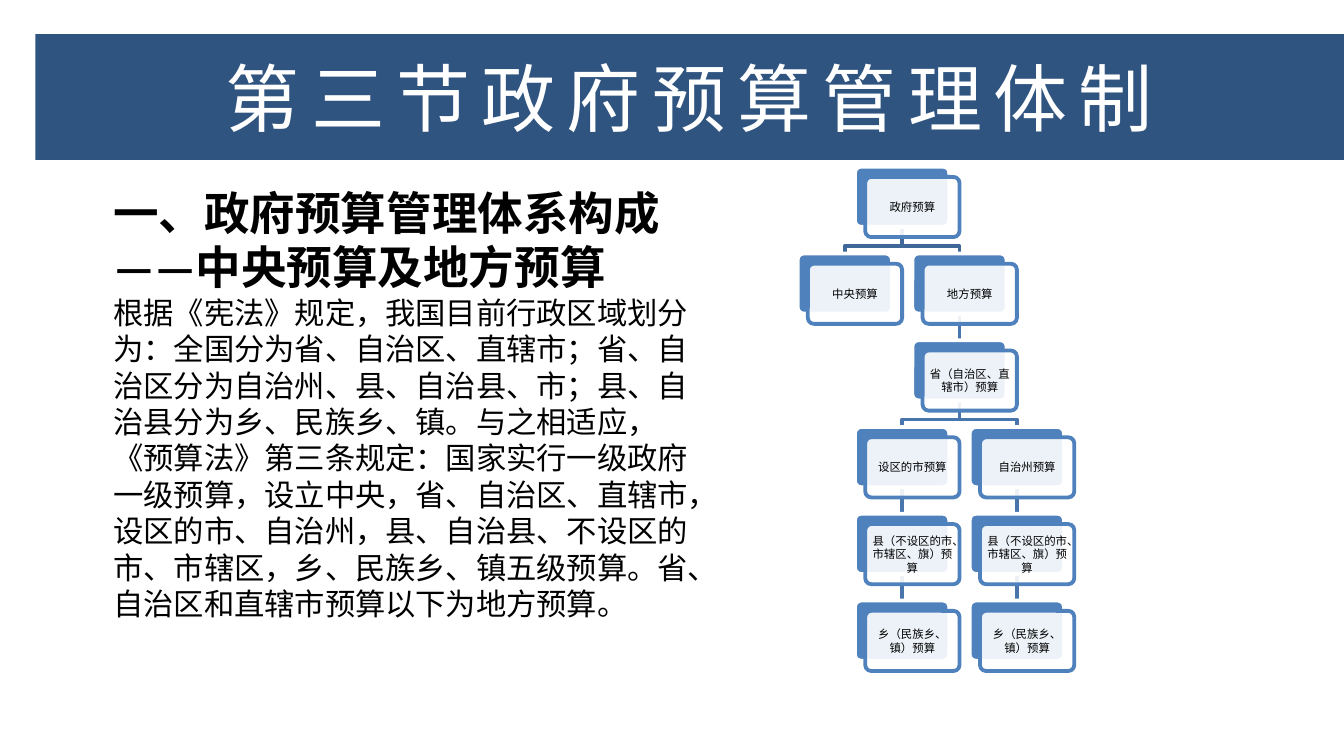
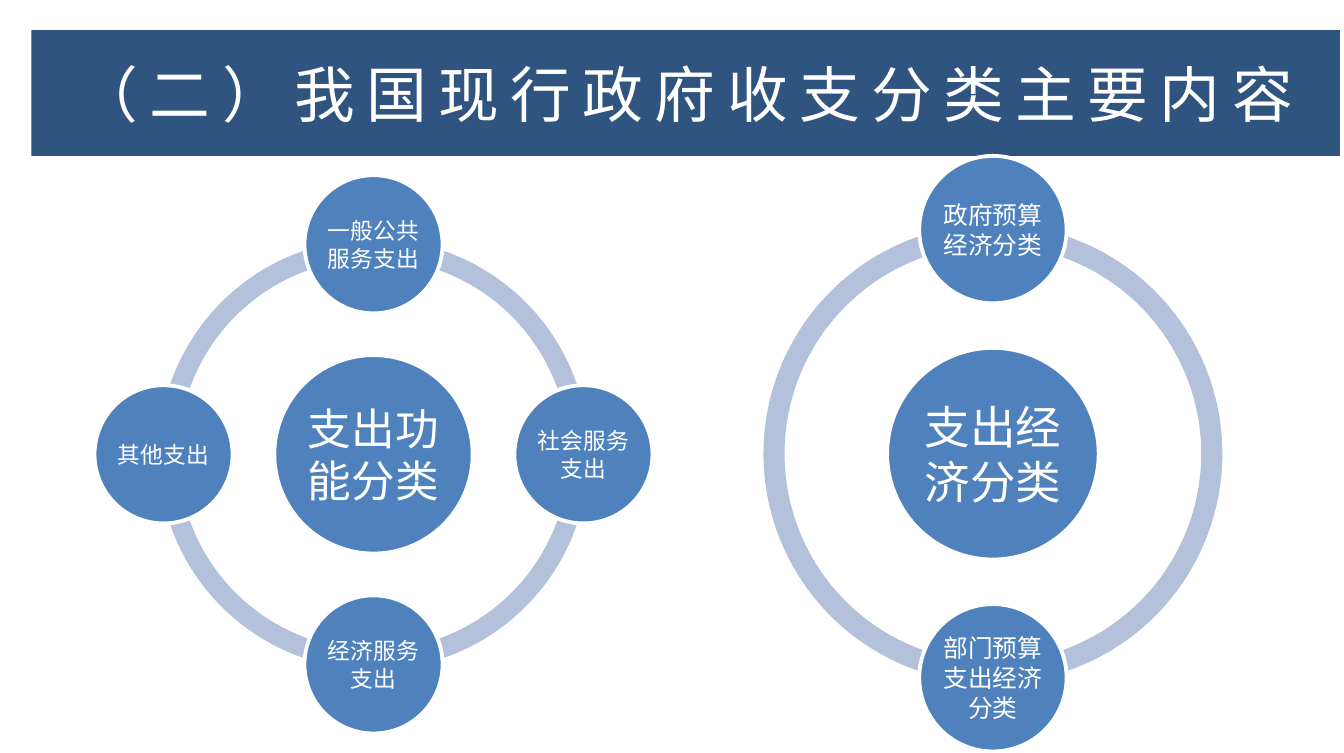
import math
from lxml import etree
from pptx import Presentation
from pptx import util as u
from pptx.dml.color import RGBColor
from pptx.enum import shapes as sh, text as tx
from pptx.oxml.ns import qn

PX = 4572  # one px is 1/200 inch
HUE = {"band": "305480", "blue": "4F81BD", "ring": "B3C1DB", "white": "FFFFFF",
       "black": "000000", "link": "4875AC", "top": "3F6797"}
TITLE = {"name": "Noto Sans CJK SC", "hue": "white"}
BODY = {"name": "Calibri", "hue": "black"}
LABEL = {"name": "Calibri", "hue": "white"}
KIND = sh.MSO_SHAPE


def px(n):
    return u.Emu(round(n * PX))


def rgb(key):
    return RGBColor.from_string(HUE[key])


# Text and shape helpers
def style(run, look, size, bold=False, space=0):
    font = run.font
    for key, val in {"name": look["name"], "size": u.Pt(size), "bold": bold}.items():
        setattr(font, key, val)
    font.color.rgb = rgb(look["hue"])
    props = run._r.get_or_add_rPr()
    etree.SubElement(props, qn("a:ea")).set("typeface", look["name"])
    if space:
        props.set("spc", str(space * 100))


def frame(shape, x=0, y=0, anchor=tx.MSO_ANCHOR.MIDDLE):
    tf = shape.text_frame
    form = {"word_wrap": True, "auto_size": tx.MSO_AUTO_SIZE.NONE,
            "vertical_anchor": anchor, "margin_left": px(x), "margin_right": px(x),
            "margin_top": px(y), "margin_bottom": px(y)}
    for key, val in form.items():
        setattr(tf, key, val)
    return tf


def write(shape, words, look, size, pad):
    para = frame(shape, pad, pad).paragraphs[0]
    para.alignment = tx.PP_ALIGN.CENTER
    run = para.add_run()
    run.text = words
    style(run, look, size)


def place(shape, x, y, w, h):
    for key, val in zip(("left", "top", "width", "height"), (x, y, w, h)):
        setattr(shape, key, px(val))


def draw(slide, kind, x, y, w, h, fill, line=None):
    shape = slide.shapes.add_shape(kind, px(x), px(y), px(w), px(h))
    shape.shadow.inherit = False
    shape.fill.solid()
    shape.fill.fore_color.rgb = rgb(fill)
    if line:
        shape.line.color.rgb = rgb(line)
        shape.line.width = u.Pt(2)
    else:
        shape.line.fill.background()
    return shape


# Title band shared by both slides
def band(slide, words, size, x, y):
    title = slide.shapes.title
    place(title, x, y, 1916, 184)
    title.fill.solid()
    title.fill.fore_color.rgb = rgb("band")
    para = frame(title, 18, 8).paragraphs[0]
    para.alignment = tx.PP_ALIGN.CENTER
    run = para.add_run()
    run.text = words
    style(run, TITLE, size, space=6)


# Heading and paragraph in the body placeholder
def prose(slide, parts, x, y, w, h):
    body = slide.placeholders[1]
    place(body, x, y, w, h)
    tf = frame(body, 20, 10, tx.MSO_ANCHOR.TOP)
    for i, (words, size, bold) in enumerate(parts):
        para = tf.add_paragraph() if i else tf.paragraphs[0]
        props = para._p.get_or_add_pPr()
        props.set("marL", "0")
        props.set("indent", "0")
        etree.SubElement(props, qn("a:buNone"))
        para.space_before = u.Pt(0)
        para.alignment = tx.PP_ALIGN.LEFT
        run = para.add_run()
        run.text = words
        style(run, BODY, size, bold)


# Budget tree: each node is (label, column, row, parent)
def tree(slide, nodes, x, y):
    step, rise, wide, high, lag = 84, 127, 138, 88, 15

    def spot(node):
        return x + step * node[1], y + rise * node[2]

    def link(node):
        x0, y0 = spot(nodes[node[3]])
        x1, y1 = spot(node)
        x0, x1, y0 = x0 + wide // 2, x1 + wide // 2, y0 + high
        if x0 == x1:
            line = slide.shapes.add_connector(
                sh.MSO_CONNECTOR.STRAIGHT, px(x0), px(y0), px(x1), px(y1))
            etree.SubElement(line._element.spPr, qn("a:effectLst"))
        else:
            pen = slide.shapes.build_freeform(x0, y0, scale=PX)
            pen.add_line_segments([(x0, y0 + 28), (x1, y0 + 28), (x1, y1)], close=False)
            line = pen.convert_to_shape()
            line.shadow.inherit = False
            line.fill.background()
        line.line.color.rgb = rgb("top" if node[2] == 1 else "link")
        line.line.width = u.Pt(2)

    def card(node):
        left, top = spot(node)
        back = draw(slide, KIND.ROUNDED_RECTANGLE, left, top, wide, high, "blue", "white")
        front = draw(slide, KIND.ROUNDED_RECTANGLE, left + lag, top + lag,
                     wide, high, "white", "blue")
        for box in (back, front):
            box.adjustments[0] = 0.1
        tint = front._element.spPr.find(qn("a:solidFill")).find(qn("a:srgbClr"))
        etree.SubElement(tint, qn("a:alpha")).set("val", "90000")
        write(front, node[0], BODY, 6, 6)

    for node in nodes[1:]:
        link(node)
    for node in nodes:
        card(node)


# Ring of discs around a hub, filling a square box
def wheel(slide, hub, rim, x, y, side, big, small):
    ring = draw(slide, KIND.DONUT, x, y, side, side, "ring")
    ring.adjustments[0] = 0.046
    mx, my, orbit = x + side / 2, y + side / 2, 0.488 * side

    def disc(words, cx, cy, size, wide):
        dot = draw(slide, KIND.OVAL, cx - wide / 2, cy - wide / 2, wide, wide,
                   "blue", "white")
        write(dot, words, LABEL, size, 3)

    disc(hub, mx, my, big, 0.461 * side)
    for i, words in enumerate(rim):
        turn = math.tau * i / len(rim)
        disc(words, mx + orbit * math.sin(turn), my - orbit * math.cos(turn),
             small, 0.321 * side)


def main():
    deck = Presentation()
    deck.slide_width, deck.slide_height = px(1968), px(1102)

    # Slide 1: levels of budget
    slide = deck.slides.add_slide(deck.slide_layouts[1])
    band(slide, "第三节政府预算管理体制", 39, 52, 50)
    prose(slide, [
        ("一、政府预算管理体系构成——中央预算及地方预算", 24, True),
        ("根据《宪法》规定，我国目前行政区域划分为：全国分为省、自治区、直辖市；"
         "省、自治区分为自治州、县、自治县、市；县、自治县分为乡、民族乡、镇。"
         "与之相适应，《预算法》第三条规定：国家实行一级政府一级预算，设立中央，"
         "省、自治区、直辖市，设区的市、自治州，县、自治县、不设区的市、市辖区，"
         "乡、民族乡、镇五级预算。省、自治区和直辖市预算以下为地方预算。", 16, False),
    ], 146, 260, 918, 666)
    county, town = "县（不设区的市、市辖区、旗）预算", "乡（民族乡、镇）预算"
    tree(slide, [
        ("政府预算", 1, 0, None),
        ("中央预算", 0, 1, 0),
        ("地方预算", 2, 1, 0),
        ("省（自治区、直辖市）预算", 2, 2, 2),
        ("设区的市预算", 1, 3, 3),
        ("自治州预算", 3, 3, 3),
        (county, 1, 4, 4),
        (county, 3, 4, 5),
        (town, 1, 5, 6),
        (town, 3, 5, 7),
    ], 1168, 244)

    # Slide 2: classes of spending
    slide = deck.slides.add_slide(deck.slide_layouts[5])
    wheel(slide, "支出功能分类",
          ["一般公共服务支出", "社会服务支出", "经济服务支出", "其他支出"],
          232, 350, 630, 23, 12)
    wheel(slide, "支出经济分类", ["政府预算经济分类", "部门预算支出经济分类"],
          1118, 328, 672, 24, 13)
    band(slide, "（二）我国现行政府收支分类主要内容", 32, 46, 44)

    deck.save("out.pptx")


if __name__ == "__main__":
    main()
